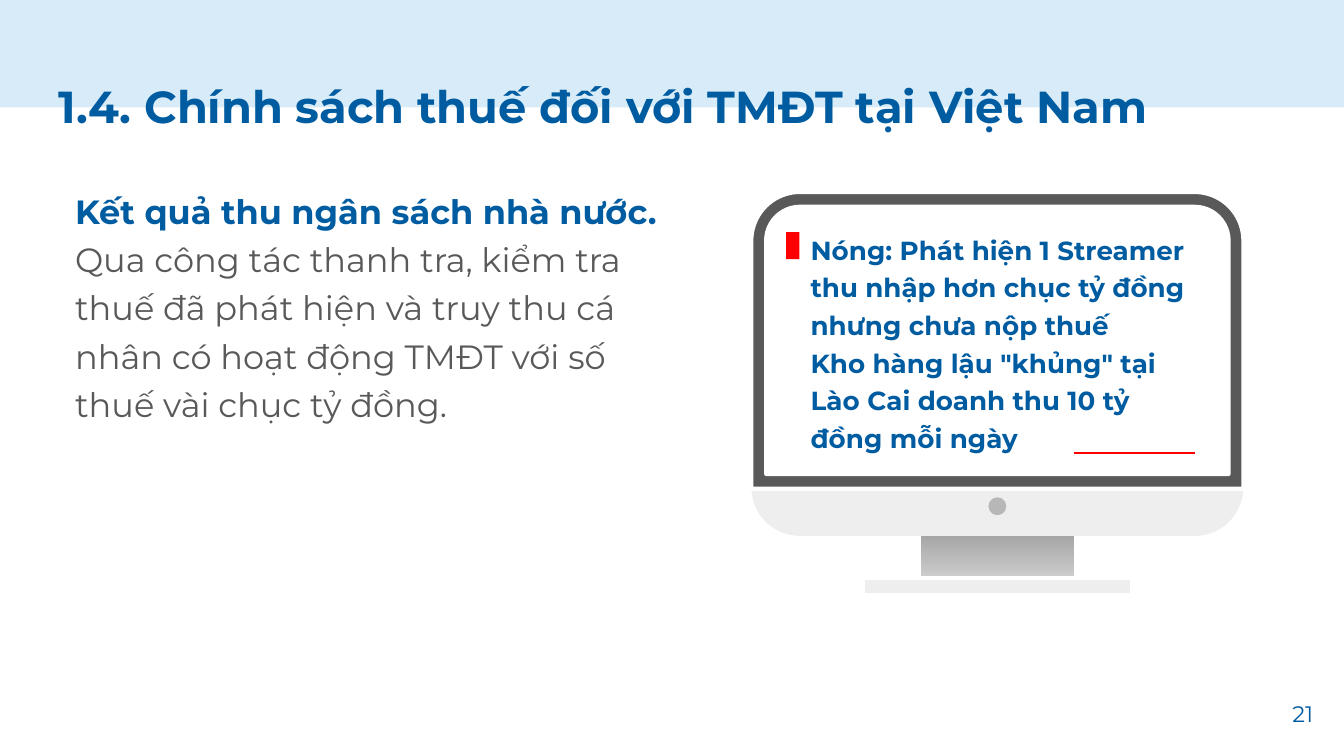
from lxml import etree
from pptx import Presentation
from pptx import util as u
from pptx.dml.color import RGBColor
from pptx.enum import shapes, text
from pptx.oxml.ns import qn

FONT = "Montserrat"
COLOURS = {"band": "D7ECF8", "blue": "005CA1", "grey": "595959", "white": "FFFFFF",
           "case": "EEEEEE", "button": "B7B7B7", "red": "FF0000",
           "shade": "919191", "light": "DDDDDD"}
KIND = shapes.MSO_SHAPE

# Content: each paragraph is (words, format values, colour)
TITLE = [("1.4. Chính sách thuế đối với TMĐT tại Việt Nam", {"size": 24, "bold": True}, "blue")]
RESULT = [
    ("Kết quả thu ngân sách nhà nước.", {"size": 18, "bold": True}, "blue"),
    ("Qua công tác thanh tra, kiểm tra thuế đã phát hiện và truy thu cá nhân "
     "có hoạt động TMĐT với số thuế vài chục tỷ đồng.", {"size": 18, "bold": False}, "grey"),
]
NEWS = [
    (words, {"size": 14, "bold": True}, "blue") for words in (
        "Nóng: Phát hiện 1 Streamer thu nhập hơn chục tỷ đồng nhưng chưa nộp thuế",
        'Kho hàng lậu "khủng" tại Lào Cai doanh thu 10 tỷ đồng mỗi ngày')
]
NUMBER = [("21", {"size": 12, "bold": False}, "blue")]

# Text boxes in cm: (paragraphs, place, left inset, line spacing)
TEXTS = [
    (RESULT, (0.86, 3.2, 11.94, 9.65), 0.56, 1.2),
    (NEWS, (14.76, 4.06, 8.13, 5.08), 0.56, 1.2),
]

# Monitor in cm, back to front: (kind, place, fill, outlined, corner radius)
LEFT, TOP, WIDTH, BEZEL, RADIUS = 14.2, 3.63, 9.3, 0.28, 0.92
CENTRE = LEFT + WIDTH / 2
MONITOR = [
    (KIND.RECTANGLE, (CENTRE - 1.45, 9.73, 2.9, 1.5), "shade", False, 0),
    (KIND.RECTANGLE, (CENTRE - 2.54, 10.92, 5.08, 0.33), "case", True, 0),
    (KIND.ROUNDED_RECTANGLE, (LEFT, TOP, WIDTH, 6.5), "case", False, RADIUS),
    (KIND.ROUND_2_SAME_RECTANGLE, (LEFT, TOP, WIDTH, 5.61), "grey", True, RADIUS),
    (KIND.ROUND_2_SAME_RECTANGLE,
     (LEFT + BEZEL, TOP + BEZEL, WIDTH - 2 * BEZEL, 5.61 - 2 * BEZEL),
     "white", True, RADIUS - BEZEL),
    (KIND.OVAL, (CENTRE - 0.17, 9.4, 0.34, 0.34), "button", False, 0),
]


def rgb(name):
    return RGBColor.from_string(COLOURS[name])


def lengths(place):
    return [u.Cm(value) for value in place]


def add_shape(kind, place, fill, outlined=False, radius=0):
    shape = page.shapes.add_shape(kind, *lengths(place))
    shape.shadow.inherit = False
    shape.fill.solid()
    shape.fill.fore_color.rgb = rgb(fill)
    if outlined:
        shape.line.color.rgb = rgb("white")
        shape.line.width = u.Pt(2.25)
    else:
        shape.line.fill.background()
    if radius:
        shape.adjustments[0] = radius / min(place[2:])
    return shape


def write(box, paragraphs, inset=0.25, spacing=1.0,
          align=text.PP_ALIGN.LEFT, anchor=text.MSO_ANCHOR.TOP):
    frame = box.text_frame
    settings = {"word_wrap": True, "auto_size": text.MSO_AUTO_SIZE.NONE,
                "vertical_anchor": anchor, "margin_left": u.Cm(inset),
                "margin_top": u.Cm(0.25), "margin_right": u.Cm(0.25),
                "margin_bottom": u.Cm(0.25)}
    for name, value in settings.items():
        setattr(frame, name, value)
    for index, (words, style, colour) in enumerate(paragraphs):
        para = frame.add_paragraph() if index else frame.paragraphs[0]
        para.alignment, para.line_spacing = align, spacing
        span = para.add_run()
        span.text = words
        for name, value in {"name": FONT, **style, "size": u.Pt(style["size"])}.items():
            setattr(span.font, name, value)
        span.font.color.rgb = rgb(colour)


deck = Presentation()
deck.slide_width, deck.slide_height = u.Cm(25.4), u.Cm(14.29)
page = deck.slides.add_slide(deck.slide_layouts[5])

# Title over the top band
title = page.shapes.title
title.left, title.top, title.width, title.height = lengths((0.86, 1.24, 23.67, 1.6))
write(title, TITLE)
band = add_shape(KIND.RECTANGLE, (0, 0, 25.4, 2.03), "band")
title.element.addprevious(band.element)

# Monitor, with a shaded neck
parts = [add_shape(*part) for part in MONITOR]
neck = parts[0]
neck.fill.gradient()
neck.fill.gradient_angle = 270
for stop, name in zip(neck.fill.gradient_stops, ("shade", "light")):
    stop.color.rgb = rgb(name)

# Body text and news
for paragraphs, place, inset, spacing in TEXTS:
    write(page.shapes.add_textbox(*lengths(place)), paragraphs, inset, spacing)

# Red accents on the screen
rule = page.shapes.add_connector(shapes.MSO_CONNECTOR.STRAIGHT,
                                 *lengths((20.29, 8.56, 22.58, 8.56)))
rule.line.color.rgb = rgb("red")
rule.line.width = u.Pt(1)
etree.SubElement(rule.element.spPr, qn("a:effectLst"))
add_shape(KIND.RECTANGLE, (14.86, 4.39, 0.25, 0.51), "red")

# Page number
number = page.shapes.add_textbox(*lengths((23.55, 12.95, 1.52, 1.09)))
write(number, NUMBER, align=text.PP_ALIGN.RIGHT, anchor=text.MSO_ANCHOR.MIDDLE)

deck.save("out.pptx")
